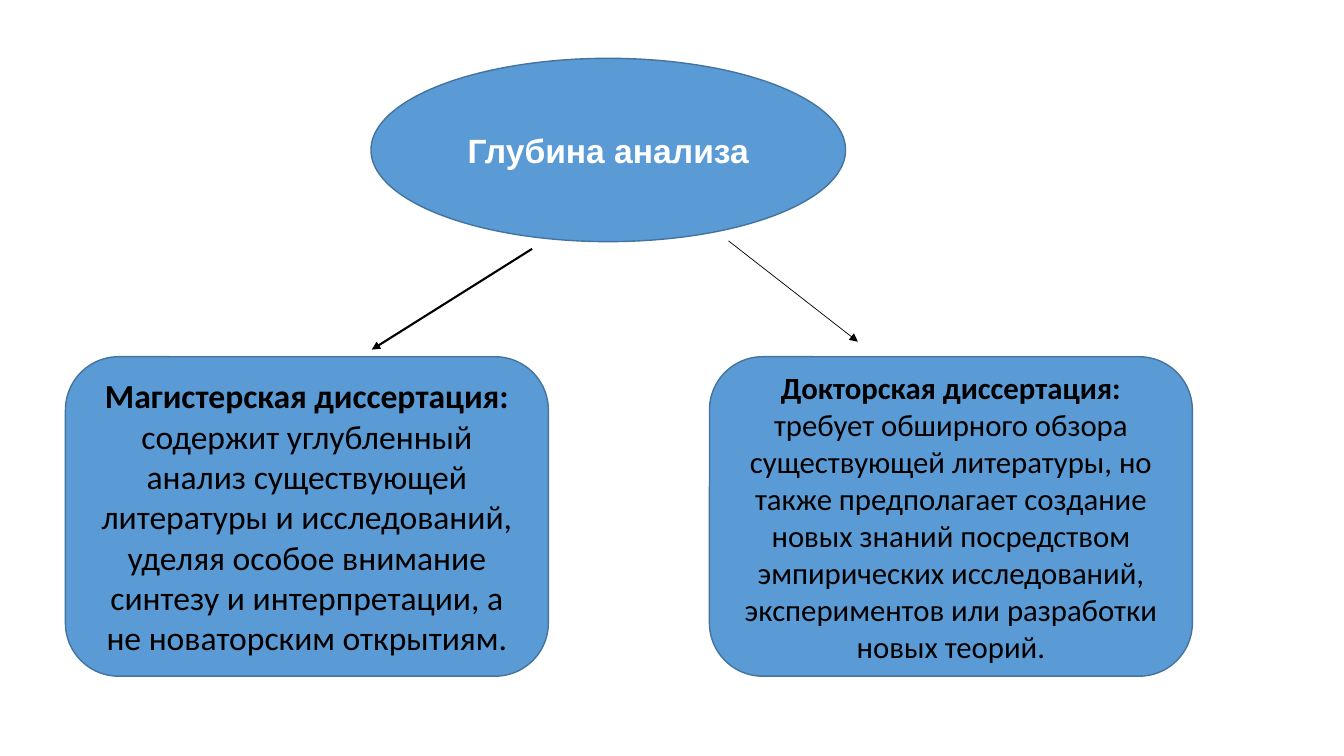
from pptx import Presentation
from pptx.dml.color import RGBColor
from pptx.enum.shapes import MSO_CONNECTOR as LINE, MSO_SHAPE as SHAPE
from pptx.enum.text import MSO_ANCHOR as ANCHOR, PP_ALIGN as ALIGN
from pptx.oxml.ns import qn
from pptx.util import Cm, Pt
from lxml import etree

COLORS = {
    "fill": "5B9BD5",
    "outline": "43739E",
    "heading": "FFFFFF",
    "text": "000000",
}


def color(name):
    return RGBColor.from_string(COLORS[name])


def write(paragraph, text, size=24, font="Calibri", ink="text", bold=False):
    run = paragraph.add_run()
    run.text = text
    run.font.size = Pt(size)
    run.font.name = font
    run.font.bold = bold
    run.font.color.rgb = color(ink)


prs = Presentation()
prs.slide_width, prs.slide_height = Cm(33.87), Cm(19.05)
slide = prs.slides.add_slide(prs.slide_layouts[6])

# Topic and the two kinds of dissertation: shape, place, runs of text
topic = [("Глубина анализа", dict(font="Arial", ink="heading", bold=True))]
master = [
    ("Магистерская диссертация: ", dict(bold=True)),
    ("содержит углубленный анализ существующей литературы и исследований, "
     "уделяя особое внимание синтезу и интерпретации, а не новаторским "
     "открытиям.", {}),
]
doctoral = [
    ("Докторская диссертация: ", dict(size=22, bold=True)),
    ("требует обширного обзора существующей литературы, но также "
     "предполагает создание новых знаний посредством эмпирических "
     "исследований, экспериментов или разработки новых теорий.",
     dict(size=22)),
]
nodes = [
    (SHAPE.OVAL, (9.35, 1.47, 11.96, 4.62), topic),
    (SHAPE.ROUNDED_RECTANGLE, (1.65, 8.99, 12.17, 8.05), master),
    (SHAPE.ROUNDED_RECTANGLE, (17.88, 8.99, 12.17, 8.05), doctoral),
]
for outline, place, runs in nodes:
    node = slide.shapes.add_shape(outline, *map(Cm, place))
    node.shadow.inherit = False
    node.fill.solid()
    node.fill.fore_color.rgb = color("fill")
    node.line.color.rgb = color("outline")
    node.line.width = Pt(1)
    frame = node.text_frame
    frame.word_wrap = True
    frame.vertical_anchor = ANCHOR.MIDDLE
    paragraph = frame.paragraphs[0]
    paragraph.alignment = ALIGN.CENTER
    for text, style in runs:
        write(paragraph, text, **style)

# Arrows from the topic to each dissertation: start and end points, width
arrows = [
    ((13.41, 6.27, 9.37, 8.81), 1.5),
    ((18.36, 6.07, 21.62, 8.61), 0.5),
]
for ends, width in arrows:
    arrow = slide.shapes.add_connector(LINE.STRAIGHT, *map(Cm, ends))
    arrow.line.color.rgb = color("text")
    arrow.line.width = Pt(width)
    properties = arrow._element.spPr
    etree.SubElement(properties.find(qn("a:ln")), qn("a:tailEnd"), type="triangle")
    etree.SubElement(properties, qn("a:effectLst"))

prs.save("out.pptx")
